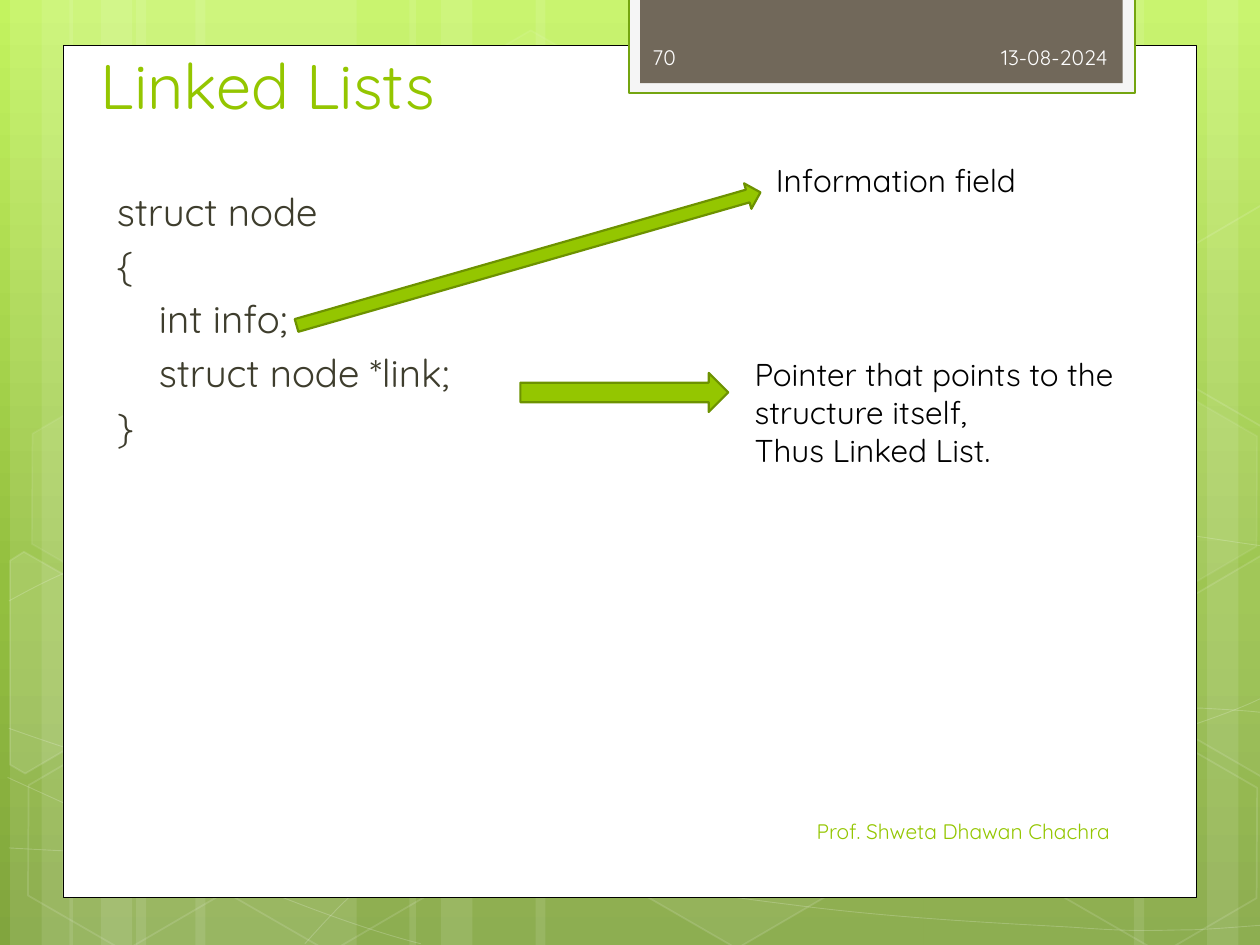
from copy import deepcopy
from dataclasses import dataclass

from lxml.etree import SubElement
from pptx import Presentation
from pptx.dml.color import RGBColor
from pptx.enum.shapes import MSO_SHAPE as Shape
from pptx.enum.text import MSO_ANCHOR as Anchor, PP_ALIGN as Align
from pptx.oxml.ns import qn
from pptx.util import Inches, Pt

WHITE, BLACK, GREEN, DARK_GREEN = "FFFFFF", "000000", "94C600", "6D9200"
PALE, TAUPE, OLIVE, NEAR_WHITE = "F5F5F5", "71685A", "3E3D2D", "FEFEFE"
FONT = "Quicksand"


@dataclass
class Ink:
    color: str
    alpha: int = 100
    width: float = 1


@dataclass
class Hexagon:
    left: float
    top: float
    fill_alpha: int
    line_alpha: int


@dataclass
class Polygon:
    points: list
    fill_alpha: int


STRIPS = [
    (1.08, 1.75), (0.08, 0.5), (0.33, 0.83), (1.55, 1.75), (0.55, 0.5), (0.8, 0.83),
    (7.33, 1.75), (9.58, 0.5), (9, 0.83), (4.25, 3.08), (3.25, 0.5), (3.5, 0.83),
]
CURVES = [
    [(0.07, 6.73), (0.61, 6.76), (1.15, 6.79), (1.9, 6.78), (2.65, 6.77), (3.58, 6.75),
     (4.58, 6.65), (5.58, 6.55), (7, 6.36), (7.92, 6.17), (8.83, 5.98), (9.77, 5.68),
     (10.07, 5.51)],
    [(0.07, 4.77), (0.36, 4.61), (0.65, 4.46), (1.21, 4.31), (1.78, 4.16), (2.59, 3.94),
     (3.47, 3.87), (4.36, 3.8), (5.44, 3.79), (6.54, 3.87), (7.64, 3.95), (9.47, 4.26),
     (10.07, 4.34)],
    [(0.06, 6.17), (1.27, 6.72), (2.47, 7.27), (3.34, 7.49)],
    [(0.07, 5.78), (0.38, 5.89), (0.7, 6), (1.28, 6.16), (1.86, 6.31), (2.73, 6.56),
     (3.57, 6.73), (4.4, 6.9), (5.45, 7.08), (6.28, 7.18), (7.11, 7.29), (8, 7.33),
     (8.53, 7.36), (9.05, 7.4), (9.19, 7.38), (9.45, 7.38), (9.71, 7.37), (9.89, 7.35),
     (10.07, 7.34)],
    [(2.42, 7.49), (2.6, 7.29), (2.78, 7.09), (3.02, 6.91), (3.26, 6.73), (3.6, 6.53),
     (3.88, 6.39), (4.16, 6.25), (4.33, 6.19), (4.7, 6.09), (5.06, 5.99), (5.73, 5.85),
     (6.08, 5.78), (6.44, 5.71), (6.49, 5.71), (6.8, 5.69), (7.11, 5.66), (7.6, 5.63),
     (7.94, 5.62), (8.29, 5.61), (8.86, 5.62), (8.86, 5.62), (9.08, 5.62), (9.31, 5.62),
     (9.53, 5.62), (9.71, 5.63), (9.88, 5.64), (9.97, 5.65), (10.06, 5.66),
     (10.03, 5.65), (10.06, 5.66)],
]
HEXAGONS = [
    Hexagon(3.34, 0.36, 4, 8), Hexagon(4.97, 5.89, 6, 12), Hexagon(0.11, 5.91, 0, 12),
    Hexagon(0.14, 3.12, 7, 8), Hexagon(1.74, 5.92, 0, 12), Hexagon(7.53, 4.53, 10, 12),
    Hexagon(8.34, 5.93, 0, 12), Hexagon(8.34, 3.14, 7, 8),
]
POLYGONS = [
    Polygon([(0.08, 4.45), (0.19, 4.38), (0.96, 4.82), (0.95, 5.7), (0.2, 6.14),
             (0.08, 6.07)], 10),
    Polygon([(9.26, 4.85), (10.01, 4.41), (10.09, 4.46), (10.09, 6.13), (10.02, 6.17),
             (9.26, 5.73)], 4),
    Polygon([(9.26, 2.07), (10.01, 1.63), (10.1, 1.68), (10.09, 3.35), (10.02, 3.39),
             (9.26, 2.95)], 0),
]


def paint(fill, color: str, alpha: int = 100) -> None:
    fill.solid()
    fill.fore_color.rgb = RGBColor.from_string(color)
    if alpha < 100:
        element = fill._xPr.find(".//" + qn("a:srgbClr"))
        SubElement(element, qn("a:alpha"), val=str(alpha * 1000))


def style(shape, fill: Ink | None, line: Ink | None) -> None:
    shape.shadow.inherit = False
    if fill and fill.alpha:
        paint(shape.fill, fill.color, fill.alpha)
    else:
        shape.fill.background()
    if line:
        paint(shape.line.fill, line.color, line.alpha)
        shape.line.width = Pt(line.width)
    else:
        shape.line.fill.background()


def add_preset(page, kind, left: float, top: float, width: float, height: float,
               fill: Ink | None = None, line: Ink | None = None, rotation: float = 0):
    shape = page.shapes.add_shape(kind, Inches(left), Inches(top), Inches(width), Inches(height))
    shape.rotation = rotation
    style(shape, fill, line)
    return shape


def add_outline(page, points: list, fill: Ink | None, line: Ink, close: bool):
    start, *rest = [(Inches(x), Inches(y)) for x, y in points]
    builder = page.shapes.build_freeform(*start)
    builder.add_line_segments(rest, close=close)
    shape = builder.convert_to_shape()
    style(shape, fill, line)
    return shape


def add_curve(page, knots: list, line: Ink) -> None:
    shape = add_outline(page, knots, None, line, False)
    outline = shape._element.find(".//" + qn("a:path"))
    segments = outline.findall(qn("a:lnTo"))
    for first in range(0, len(segments), 3):
        curve = SubElement(outline, qn("a:cubicBezTo"))
        for segment in segments[first:first + 3]:
            curve.append(segment[0])
            outline.remove(segment)


def add_text(page, text: str, left: float, top: float, width: float, height: float, *,
             size: float, color: str, align=Align.LEFT, anchor=Anchor.TOP,
             gap: float = 0) -> None:
    box = page.shapes.add_textbox(Inches(left), Inches(top), Inches(width), Inches(height))
    frame = box.text_frame
    frame.word_wrap = True
    frame.vertical_anchor = anchor
    for index, line in enumerate(text.split("\n")):
        para = frame.add_paragraph() if index else frame.paragraphs[0]
        para.alignment = align
        if index and gap:
            para.space_before = Pt(gap)
        span = para.add_run()
        span.text = line
        span.font.name = FONT
        span.font.size = Pt(size)
        span.font.color.rgb = RGBColor.from_string(color)


def set_background(page) -> None:
    fill = page.background.fill
    fill.gradient()
    fill.gradient_angle = 270
    stop_list = page._element.find(".//" + qn("a:gsLst"))
    stop_list.append(deepcopy(stop_list[0]))
    stops = [("C3F35F", 0), ("93BF3F", 0.62), ("81A53E", 1)]
    for stop, (color, position) in zip(fill.gradient_stops, stops):
        stop.color.rgb = RGBColor.from_string(color)
        stop.position = position


def draw_backdrop(page) -> None:
    set_background(page)
    for left, width in STRIPS:
        add_preset(page, Shape.RECTANGLE, left, 0, width, 7.5, Ink(WHITE, 10))
    for knots in CURVES:
        add_curve(page, knots, Ink(WHITE, 20, 0.5))
    for item in HEXAGONS:
        hexagon = add_preset(page, Shape.HEXAGON, item.left, item.top, 1.75, 1.52,
                             Ink(WHITE, item.fill_alpha), Ink(WHITE, item.line_alpha), 30)
        hexagon.adjustments[0] = 0.285
    for item in POLYGONS:
        add_outline(page, item.points, Ink(WHITE, item.fill_alpha), Ink(WHITE, 12), True)
    add_preset(page, Shape.RECTANGLE, 0.5, 0.36, 9, 6.76, Ink(WHITE), Ink(BLACK, width=0.5))
    add_preset(page, Shape.RECTANGLE, 4.99, -0.02, 4.02, 0.76, Ink(PALE),
               Ink("74A510", width=1.25))
    add_preset(page, Shape.RECTANGLE, 5.08, -0.02, 3.83, 0.68, Ink(TAUPE))


def draw_content(page) -> None:
    add_text(page, "Linked Lists", 0.7, 0.52, 7.68, 0.5, size=36, color=GREEN,
             anchor=Anchor.BOTTOM)
    code = "struct node\n{\n    int info;\n    struct node *link;\n}"
    add_text(page, code, 0.83, 1.44, 7.41, 3.84, size=22, color=OLIVE, gap=4.4)
    edge = Ink(DARK_GREEN, width=1.25)
    add_preset(page, Shape.RIGHT_ARROW, 4.13, 2.96, 1.65, 0.31, Ink(GREEN), edge)
    add_text(page, "Pointer that points to the structure itself,\nThus Linked List.",
             5.89, 2.77, 3.2, 1.01, size=18, color=BLACK)
    add_text(page, "Information field", 6.06, 1.23, 3.2, 0.4, size=18, color=BLACK)
    add_preset(page, Shape.RIGHT_ARROW, 2.28, 1.95, 3.83, 0.21, Ink(GREEN), edge, 344)
    small = dict(size=12, anchor=Anchor.MIDDLE)
    add_text(page, "13-08-2024", 6.56, 0.25, 2.33, 0.4, color=NEAR_WHITE,
             align=Align.RIGHT, **small)
    add_text(page, "Prof. Shweta Dhawan Chachra", 5.08, 6.4, 3.83, 0.4, color=GREEN,
             align=Align.RIGHT, **small)
    add_text(page, "70", 5.08, 0.25, 1.46, 0.4, color=NEAR_WHITE, **small)


def main() -> None:
    deck = Presentation()
    deck.slide_width, deck.slide_height = Inches(10), Inches(7.5)
    page = deck.slides.add_slide(deck.slide_layouts[6])
    draw_backdrop(page)
    draw_content(page)
    deck.save("out.pptx")


if __name__ == "__main__":
    main()
